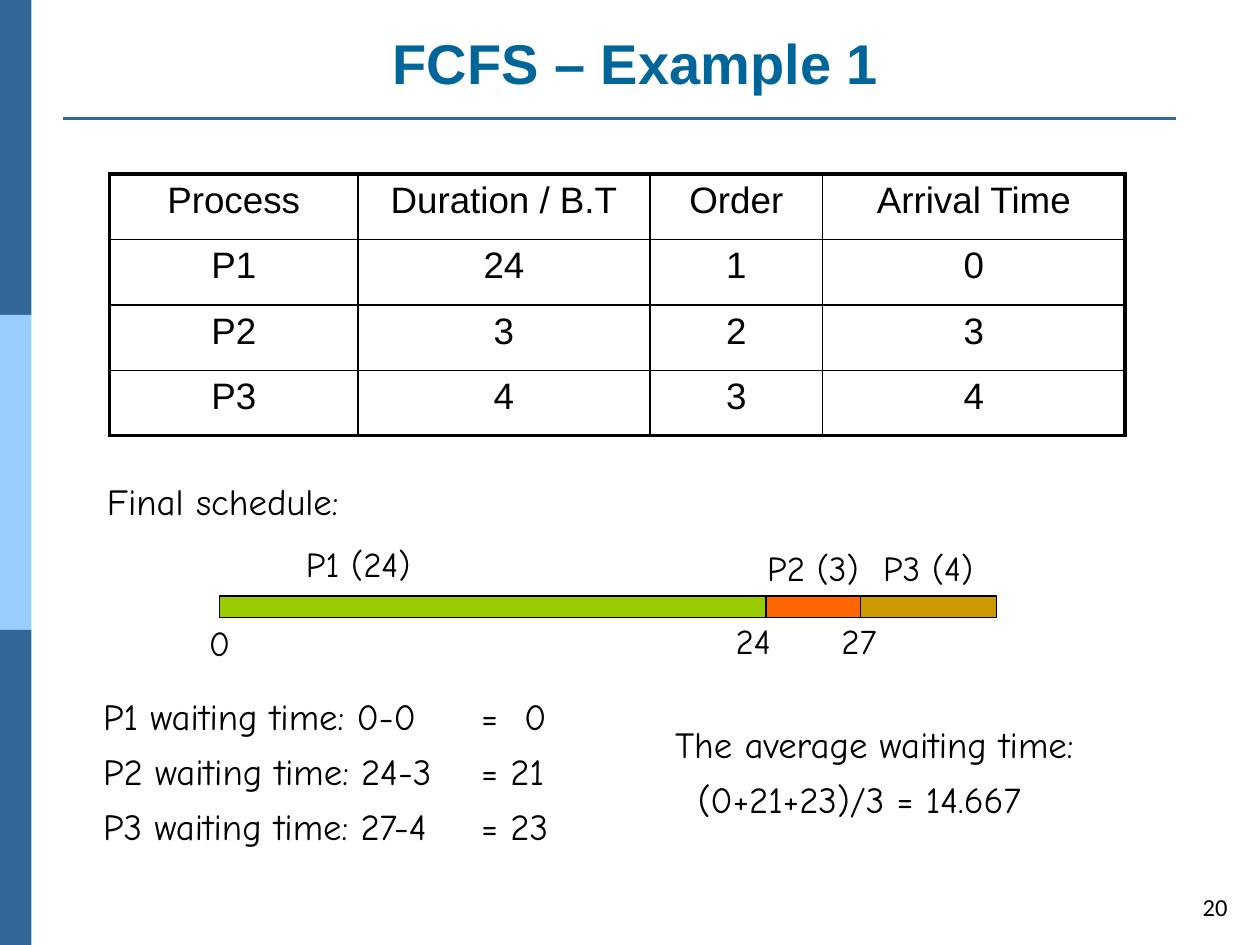
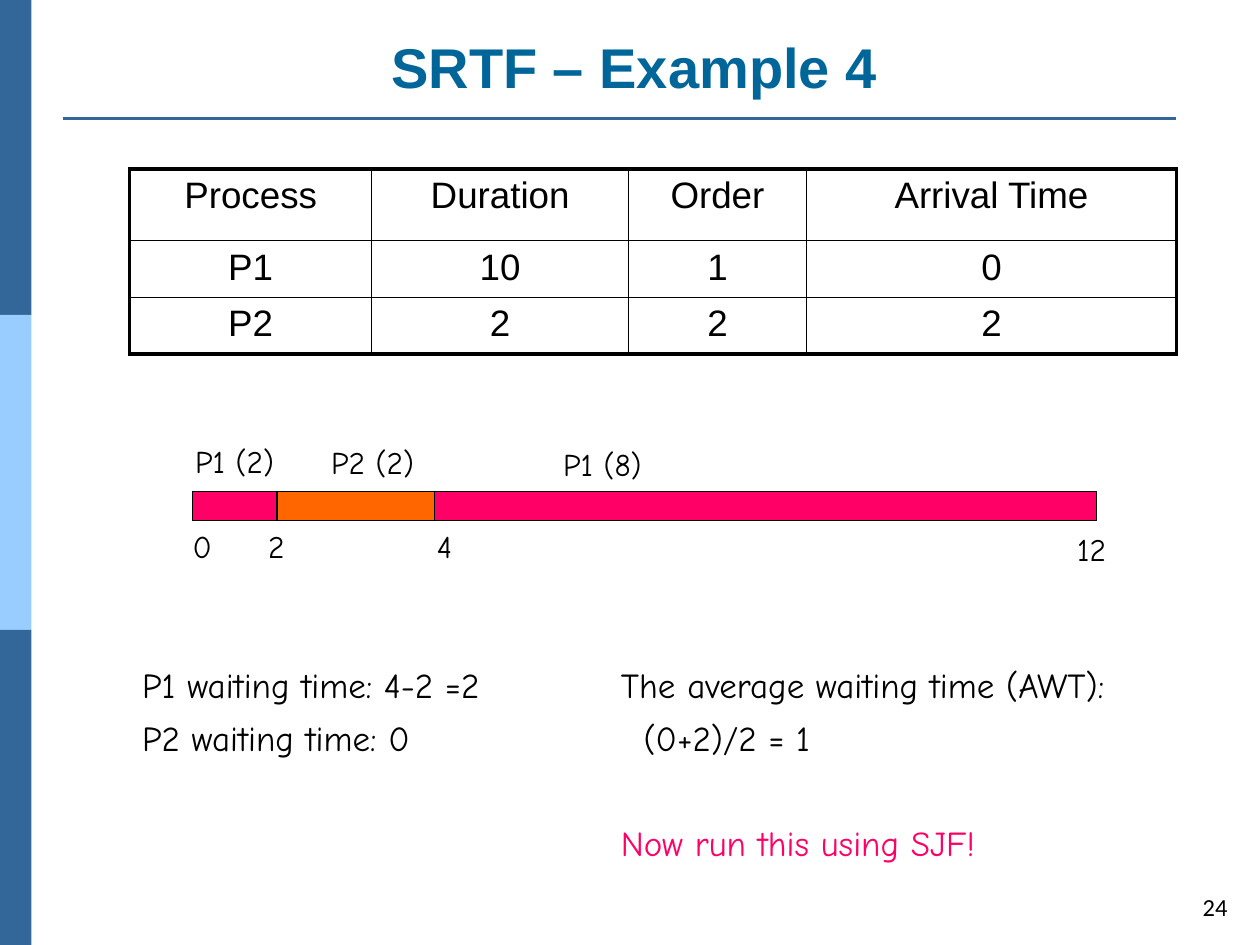
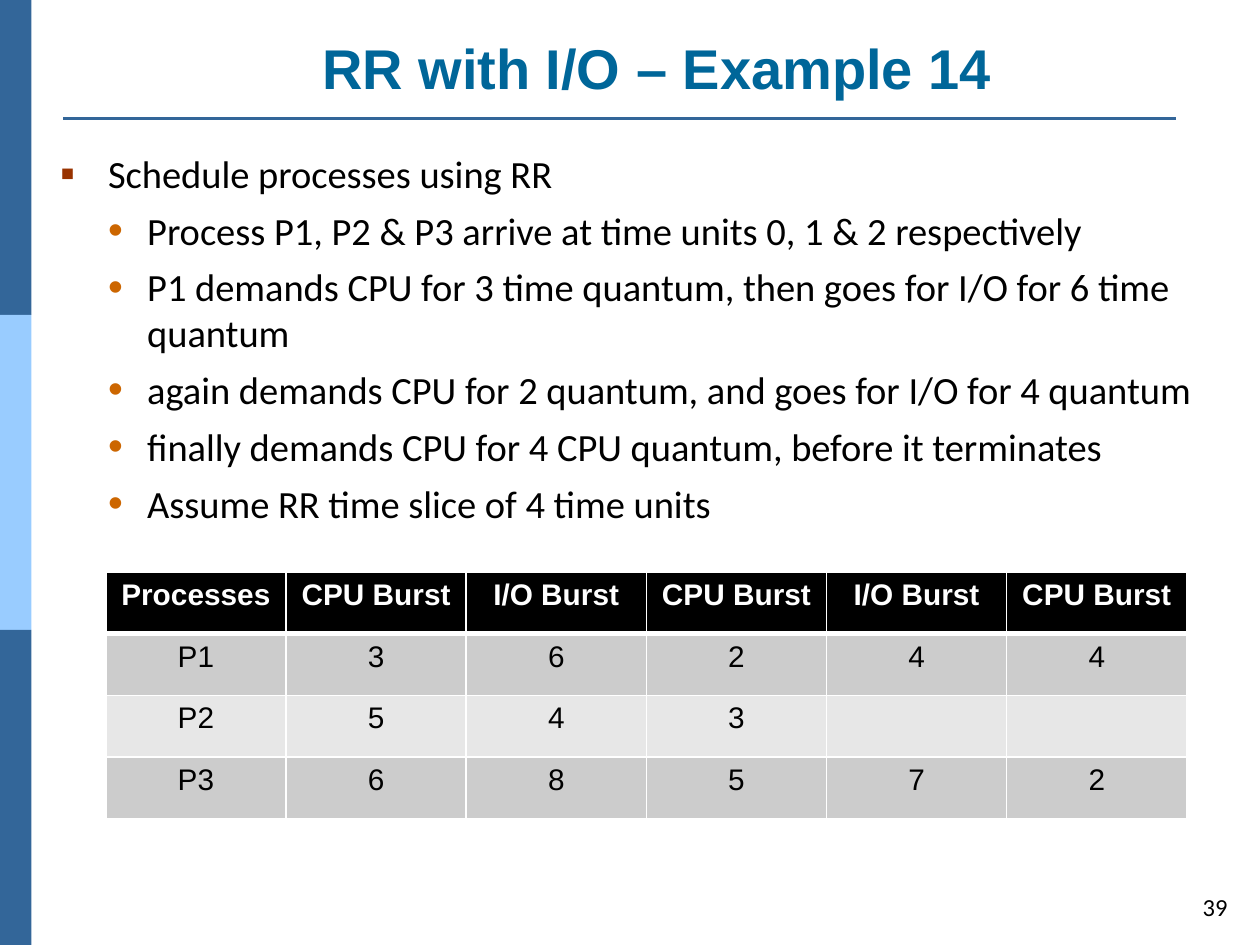
from itertools import pairwise
from lxml.etree import SubElement
from pptx import Presentation
from pptx.dml.color import RGBColor
from pptx.enum.shapes import MSO_CONNECTOR, MSO_SHAPE
from pptx.enum.text import MSO_ANCHOR, PP_ALIGN
from pptx.oxml.ns import qn
from pptx.util import Inches, Pt

COLORS = {
    "band": "336699", "band_light": "99CCFF", "title": "006699",
    "black": "000000", "white": "FFFFFF", "row": "CCCCCC", "row_light": "E7E7E7",
    "green": "99CC00", "orange": "FF6600", "ochre": "CC9900", "pink": "FF0066",
    "bullet": "993300", "sub_bullet": "CC6600",
}
RGB = {name: RGBColor.from_string(value) for name, value in COLORS.items()}
HAND = "Comic Neue"

prs = Presentation()
prs.slide_width, prs.slide_height = Inches(10), Inches(7.5)
COL = prs.slide_width / 10
ROW = prs.slide_height / 7.5


def text(s, lines, x, y, w, h, font=HAND, size=20, color="black", bold=False,
         align=PP_ALIGN.LEFT, anchor=MSO_ANCHOR.TOP, wrap=False, gap=6):
    box = s.shapes.add_textbox(int(x * COL), int(y * ROW), int(w * COL), int(h * ROW))
    tf = box.text_frame
    tf.word_wrap = wrap
    tf.vertical_anchor = anchor
    for i, line in enumerate(lines):
        p = tf.paragraphs[0] if i == 0 else tf.add_paragraph()
        p.alignment = align
        if i:
            p.space_before = Pt(gap)
        r = p.add_run()
        r.text = line
        r.font.name, r.font.size, r.font.bold = font, Pt(size), bold
        r.font.color.rgb = RGB[color]
    return tf.paragraphs


def table(s, data, x, y, widths, heights, size=21, line="black", outer=2.25,
          header_rule=1, header_color="black", header_bold=False, fills=None):
    frame = s.shapes.add_table(len(heights), len(widths), int(x * COL), int(y * ROW),
                               int(sum(widths) * COL), int(sum(heights) * ROW))
    t = frame.table
    for column, width in zip(t.columns, widths):
        column.width = int(width * COL)
    for i, (values, height) in enumerate(zip(data, heights)):
        t.rows[i].height = int(height * ROW)
        for j, value in enumerate(values):
            cell = t.cell(i, j)
            weights = {
                "L": outer if j == 0 else 1,
                "R": outer if j == len(widths) - 1 else 1,
                "T": outer if i == 0 else header_rule if i == 1 else 1,
                "B": outer if i == len(heights) - 1 else header_rule if i == 0 else 1,
            }
            for side, weight in weights.items():
                ln = SubElement(cell._tc.get_or_add_tcPr(), qn(f"a:ln{side}"), w=str(Pt(weight)))
                SubElement(SubElement(ln, qn("a:solidFill")), qn("a:srgbClr"), val=COLORS[line])
            if fills:
                cell.fill.solid()
                cell.fill.fore_color.rgb = RGB[fills[i]]
            else:
                cell.fill.background()
            p = cell.text_frame.paragraphs[0]
            p.alignment = PP_ALIGN.CENTER
            if value:
                r = p.add_run()
                r.text = value
                r.font.name, r.font.size = "Arial", Pt(size)
                r.font.bold = header_bold and i == 0
                r.font.color.rgb = RGB[header_color if i == 0 else "black"]


frames = [
    ("FCFS – Example 1", "20", (1.28, 0.26, 7.53, 0.55)),
    ("SRTF – Example 4", "24", (1.27, 0.08, 7.53, 0.76)),
    ("RR with I/O – Example 14", "39", (1.17, 0.08, 8.09, 0.77)),
]
for title, number, place in frames:
    s = prs.slides.add_slide(prs.slide_layouts[6])
    for i, color in enumerate(["band", "band_light", "band"]):
        sp = s.shapes.add_shape(MSO_SHAPE.RECTANGLE, 0, int(i * 2.5 * ROW),
                                int(0.25 * COL), int(2.5 * ROW))
        sp.shadow.inherit = False
        sp.fill.solid()
        sp.fill.fore_color.rgb = RGB[color]
        sp.line.fill.background()
    rule = s.shapes.add_connector(MSO_CONNECTOR.STRAIGHT, int(0.5 * COL), int(0.94 * ROW),
                                  int(9.33 * COL), int(0.94 * ROW))
    rule.line.color.rgb = RGB["band"]
    rule.line.width = Pt(1.5)
    SubElement(rule._element.spPr, qn("a:effectLst"))
    text(s, [title], *place, font="Arial", size=32, color="title", bold=True,
         align=PP_ALIGN.CENTER, anchor=MSO_ANCHOR.BOTTOM, wrap=True)
    text(s, [number], 9.39, 6.99, 0.45, 0.41, font="Calibri", size=14,
         align=PP_ALIGN.RIGHT, anchor=MSO_ANCHOR.MIDDLE, wrap=True)

fcfs, srtf, rr = prs.slides

schedules = [
    (fcfs, 20, 4.73, 0.17, [1.74, 6.08, 6.83, 7.91], ["green", "orange", "ochre"],
     [("P1 (24)", 2.33, 4.26, 1.11), ("P2 (3)", 5.99, 4.29, 0.98), ("P3 (4)", 6.91, 4.29, 0.98),
      ("0", 1.56, 4.88, 0.37), ("24", 5.74, 4.87, 0.55), ("27", 6.58, 4.87, 0.55)]),
    (srtf, 18, 3.9, 0.23, [1.53, 2.2, 3.45, 8.7], ["pink", "orange", "pink"],
     [("P1 (2)", 1.45, 3.46, 0.88), ("P2 (2)", 2.53, 3.47, 0.9), ("P1 (8)", 4.37, 3.48, 0.88),
      ("0", 1.43, 4.13, 0.34), ("2", 2.03, 4.13, 0.34), ("4", 3.37, 4.13, 0.34),
      ("12", 8.45, 4.16, 0.48)]),
]
for s, size, top, height, edges, colors, labels in schedules:
    for (left, right), color in zip(pairwise(edges), colors):
        sp = s.shapes.add_shape(MSO_SHAPE.RECTANGLE, int(left * COL), int(top * ROW),
                                int((right - left) * COL), int(height * ROW))
        sp.shadow.inherit = False
        sp.fill.solid()
        sp.fill.fore_color.rgb = RGB[color]
        sp.line.color.rgb = RGB["black"]
        sp.line.width = Pt(0.75)
    for label, x, y, w in labels:
        text(s, [label], x, y, w, 0.42, size=size)

table(fcfs, [
    ["Process", "Duration / B.T", "Order", "Arrival Time"],
    ["P1", "24", "1", "0"],
    ["P2", "3", "2", "3"],
    ["P3", "4", "3", "4"],
], 0.87, 1.38, [1.97, 2.32, 1.37, 2.4], [0.52] * 4)
text(fcfs, ["Final schedule:"], 0.75, 3.75, 2.22, 0.45, size=21)
waits = text(fcfs, ["P1 waiting time: 0-0\t=\t0", "P2 waiting time: 24-3\t= 21",
                    "P3 waiting time: 27-4\t= 23"], 0.72, 5.46, 4.1, 1.33, size=21, wrap=True)
for p in waits:
    tabs = SubElement(p._p.get_or_add_pPr(), qn("a:tabLst"))
    for position, align in [(3, "l"), (3.52, "r")]:
        SubElement(tabs, qn("a:tab"), pos=str(int(position * COL)), algn=align)
fcfs_average = text(fcfs, ["The average waiting time:", "(0+21+23)/3 = 14.667"],
                    5.26, 5.68, 3.73, 0.89, size=21)

table(srtf, [
    ["Process", "Duration", "Order", "Arrival Time"],
    ["P1", "10", "1", "0"],
    ["P2", "2", "2", "2"],
], 1.03, 1.34, [1.92, 2.04, 1.41, 2.94], [0.57, 0.44, 0.44])
text(srtf, ["P1 waiting time: 4-2 =2", "P2 waiting time: 0"], 1.03, 5.22, 3.17, 0.86)
srtf_average = text(srtf, ["The average waiting time (AWT):", "(0+2)/2 = 1",
                           "Now run this using SJF!"], 4.83, 5.22, 4.54, 1.7)
srtf_average[2].space_before = Pt(36)
srtf_average[2].runs[0].font.color.rgb = RGB["pink"]
for p in [fcfs_average[1], srtf_average[1]]:
    p._p.get_or_add_pPr().set("marL", str(int(0.18 * COL)))

bullets = text(rr, [
    "Schedule processes using RR",
    "Process P1, P2 & P3 arrive at time units 0, 1 & 2 respectively",
    "P1 demands CPU for 3 time quantum, then goes for I/O for 6 time quantum",
    "again demands CPU for 2 quantum, and goes for I/O for 4 quantum",
    "finally demands CPU for 4 CPU quantum, before it terminates",
    "Assume RR time slice of 4 time units",
], 0.38, 1.14, 9.47, 3.12, font="Calibri", size=22, wrap=True)
for i, p in enumerate(bullets):
    level, margin, hang, color, mark = (
        (1, 0.69, 0.31, "sub_bullet", "•") if i else (0, 0.38, 0.38, "bullet", "▪"))
    p.level = level
    pPr = p._p.get_or_add_pPr()
    pPr.set("marL", str(int(margin * COL)))
    pPr.set("indent", str(int(-hang * COL)))
    SubElement(SubElement(pPr, qn("a:buClr")), qn("a:srgbClr"), val=COLORS[color])
    SubElement(pPr, qn("a:buSzPct"), val="110000")
    SubElement(pPr, qn("a:buFont"), typeface="Arial")
    SubElement(pPr, qn("a:buChar"), char=mark)

table(rr, [
    ["Processes", "CPU Burst", "I/O Burst", "CPU Burst", "I/O Burst", "CPU Burst"],
    ["P1", "3", "6", "2", "4", "4"],
    ["P2", "5", "4", "3", "", ""],
    ["P3", "6", "8", "5", "7", "2"],
], 0.84, 4.54, [1.43] * 6, [0.49] * 4, size=17, line="white", outer=1, header_rule=3,
    header_color="white", header_bold=True, fills=["black", "row", "row_light", "row"])

prs.save("out.pptx")
